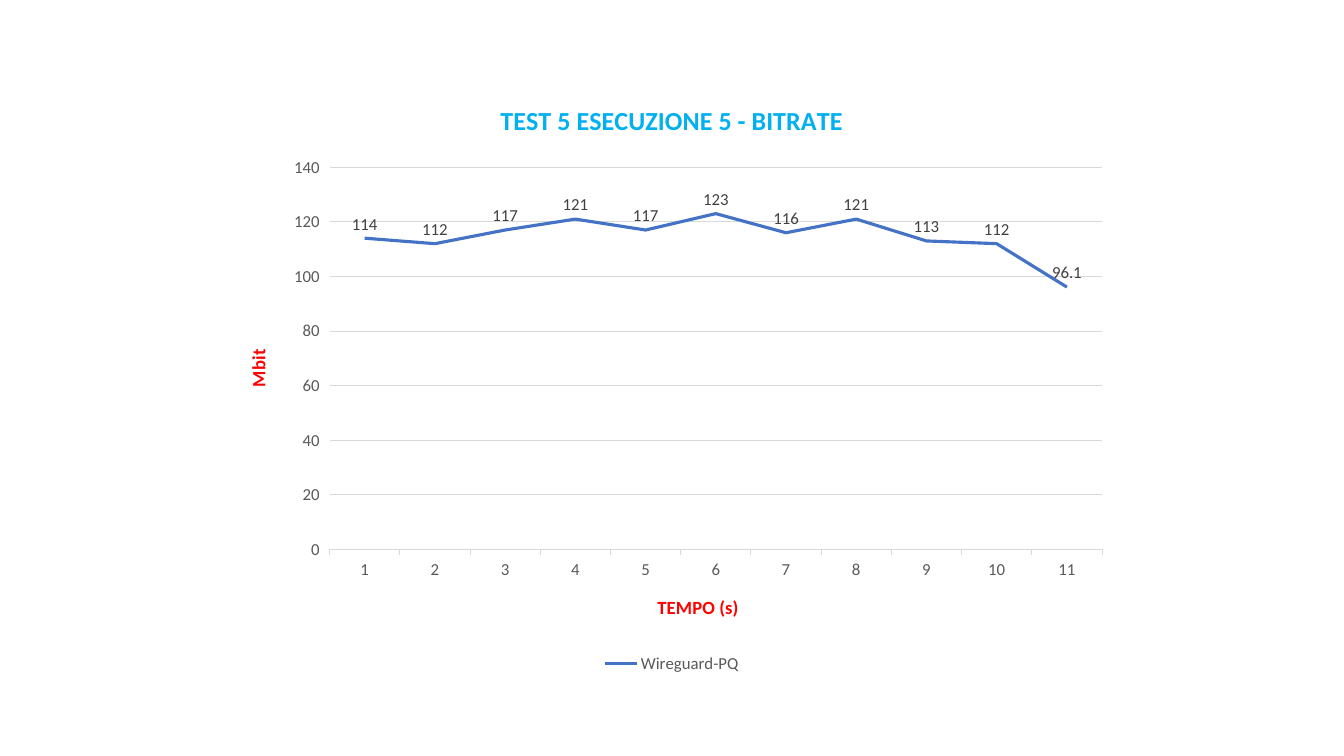
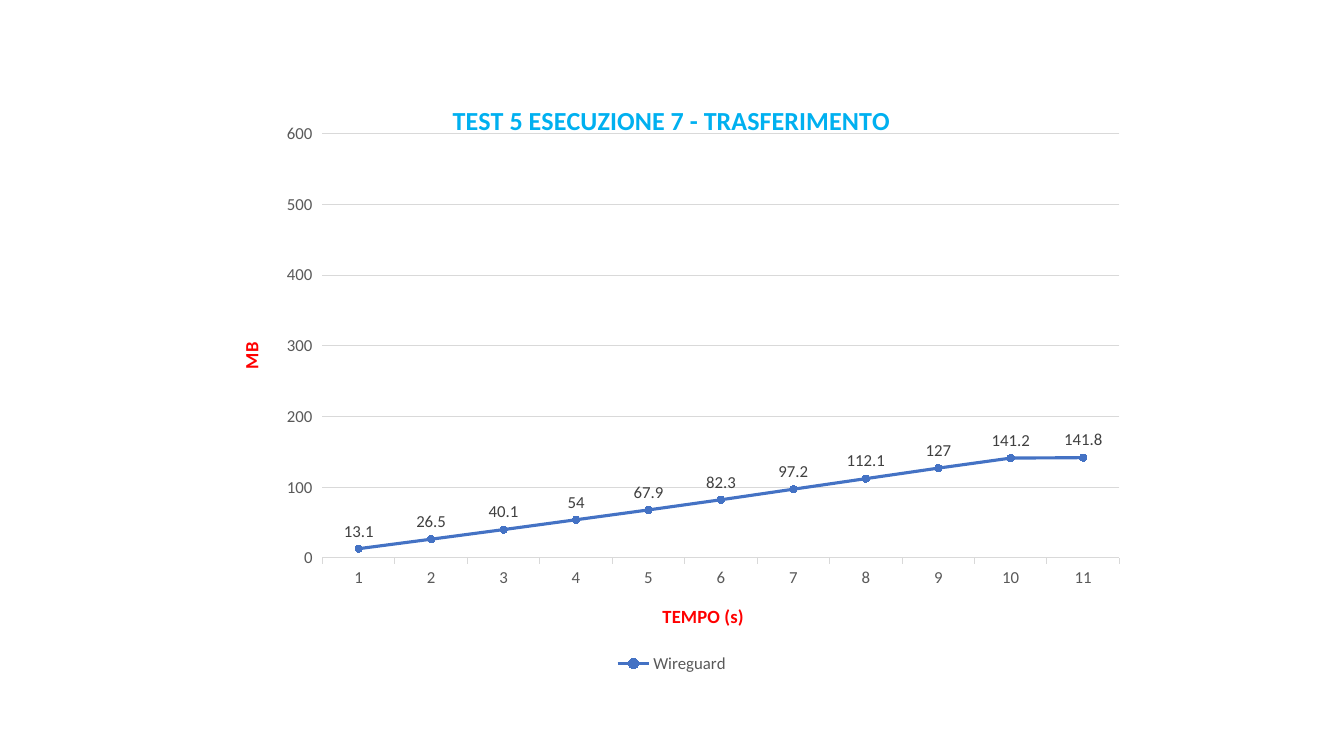
from lxml import etree
from pptx import Presentation
from pptx.chart.data import CategoryChartData
from pptx.dml.color import RGBColor
from pptx.enum.chart import XL_CHART_TYPE, XL_LABEL_POSITION, XL_LEGEND_POSITION, XL_MARKER_STYLE, XL_TICK_MARK
from pptx.oxml.ns import qn
from pptx.util import Pt

LINE, LINE_MARKERS = XL_CHART_TYPE.LINE, XL_CHART_TYPE.LINE_MARKERS
ABOVE, BOTTOM = XL_LABEL_POSITION.ABOVE, XL_LEGEND_POSITION.BOTTOM
CIRCLE, NO_MARKER = XL_MARKER_STYLE.CIRCLE, XL_MARKER_STYLE.NONE
OUTSIDE = XL_TICK_MARK.OUTSIDE

FONT = "Calibri"
COLORS = {"title": "00B0F0", "axis title": "FF0000", "text": "595959",
          "value": "404040", "grid": "D9D9D9", "series": "4472C4"}
SECONDS = [str(second) for second in range(1, 12)]

TESTS = [
    {"title": "TEST 5 ESECUZIONE 5 - BITRATE", "unit": "Mbit",
     "tunnel": "Wireguard-PQ", "kind": LINE,
     "values": [114, 112, 117, 121, 117, 123, 116, 121, 113, 112, 96.1]},
    {"title": "TEST 5 ESECUZIONE 7 - TRASFERIMENTO", "unit": "MB",
     "tunnel": "Wireguard", "kind": LINE_MARKERS,
     "values": [13.1, 26.5, 40.1, 54, 67.9, 82.3, 97.2, 112.1, 127, 141.2, 141.8],
     "maximum": 600,
     "plot": {"x": 0.11, "y": 0.09, "w": 0.89, "h": 0.71}},
]


def style_font(font, color, size=12, bold=False):
    font.name = FONT
    font.size = Pt(size)
    font.bold = bold
    font.color.rgb = RGBColor.from_string(COLORS[color])


def set_title(owner, text, color, size):
    """Give a chart or an axis a bold title."""
    frame = (owner.chart_title if hasattr(owner, "chart_title") else owner.axis_title).text_frame
    frame.text = text
    style_font(frame.paragraphs[0].runs[0].font, color, size, bold=True)


prs = Presentation()
prs.slide_width, prs.slide_height = Pt(960), Pt(540)
blank = prs.slide_layouts[6]

for test in TESTS:
    data = CategoryChartData()
    data.categories = SECONDS
    data.add_series(test["tunnel"], test["values"])
    slide = prs.slides.add_slide(blank)
    chart = slide.shapes.add_chart(test["kind"], Pt(160), Pt(57), Pt(640), Pt(427), data).chart
    style_font(chart.font, "text")
    set_title(chart, test["title"], "title", 18.6)
    chart.chart_title.include_in_layout = False

    chart.has_legend = True
    chart.legend.position = BOTTOM
    chart.legend.include_in_layout = False
    style_font(chart.legend.font, "text")

    time_axis, value_axis = chart.category_axis, chart.value_axis
    for axis, name in ((time_axis, "TEMPO (s)"), (value_axis, test["unit"])):
        set_title(axis, name, "axis title", 13.3)
        axis.major_tick_mark = OUTSIDE
        style_font(axis.tick_labels.font, "text")
    value_axis.has_major_gridlines = True
    for line in (time_axis.format.line, value_axis.major_gridlines.format.line):
        line.color.rgb = RGBColor.from_string(COLORS["grid"])
        line.width = Pt(0.75)
    value_axis.format.line.fill.background()
    if "maximum" in test:
        value_axis.minimum_scale = 0
        value_axis.maximum_scale = test["maximum"]

    plot = chart.plots[0]
    plot.vary_by_categories = False
    plot.has_data_labels = True
    plot.data_labels.show_value = True
    plot.data_labels.position = ABOVE
    style_font(plot.data_labels.font, "value")

    series = plot.series[0]
    series_color = RGBColor.from_string(COLORS["series"])
    series.smooth = False
    series.format.line.color.rgb = series_color
    series.format.line.width = Pt(2.25)
    if test["kind"] == LINE_MARKERS:
        series.marker.style = CIRCLE
        series.marker.size = 5
        series.marker.format.fill.solid()
        series.marker.format.fill.fore_color.rgb = series_color
        series.marker.format.line.color.rgb = series_color
    else:
        series.marker.style = NO_MARKER

    if "plot" in test:
        plot_area = chart.element.find(".//" + qn("c:plotArea"))
        layout = plot_area.find(qn("c:layout"))
        if layout is None:
            layout = etree.Element(qn("c:layout"))
            plot_area.insert(0, layout)
        manual = etree.SubElement(layout, qn("c:manualLayout"))
        settings = {"layoutTarget": "inner", "xMode": "edge", "yMode": "edge", **test["plot"]}
        for tag, setting in settings.items():
            etree.SubElement(manual, qn("c:" + tag)).set("val", str(setting))

prs.save("out.pptx")
